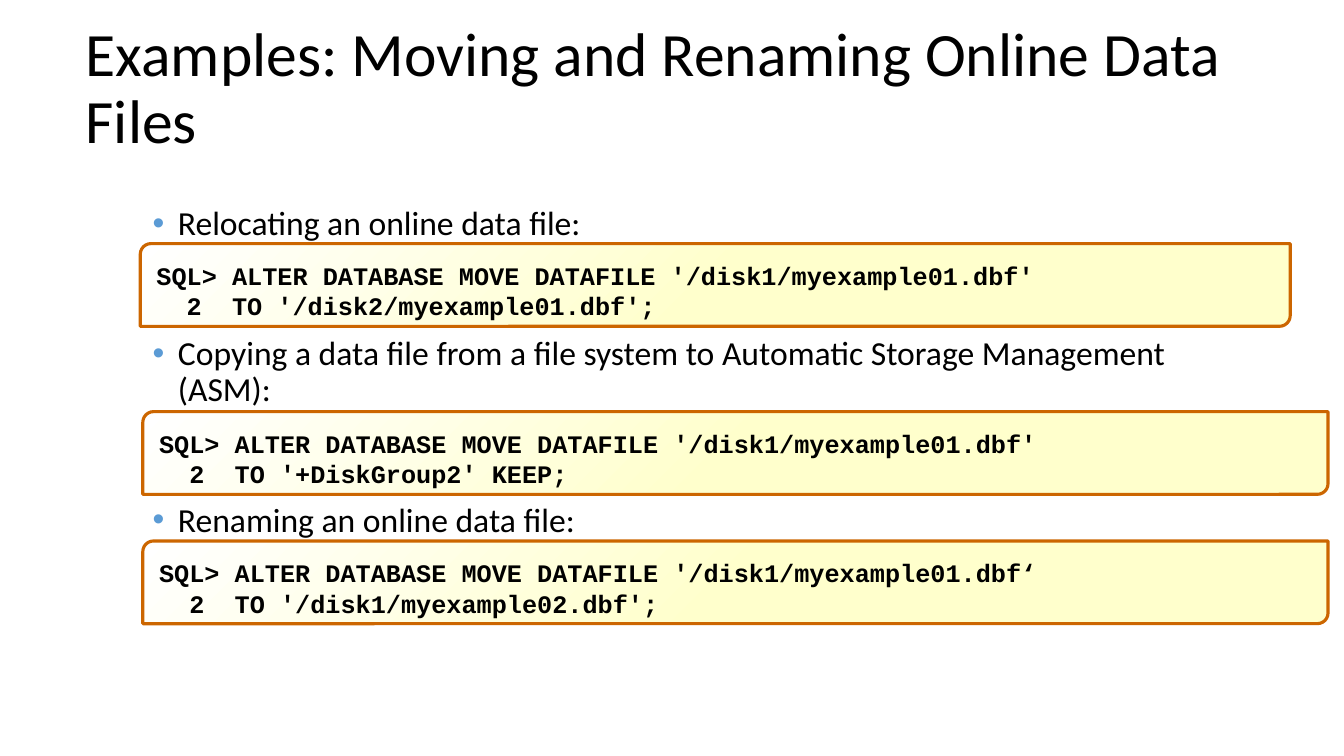
from dataclasses import dataclass

from lxml import etree
from pptx import Presentation
from pptx import util as u
from pptx.dml import color
from pptx.enum import shapes, text
from pptx.oxml import ns

COLS, ROWS = 160, 90
BLACK, ORANGE, CREAM, WHITE, BLUE = "000000", "CC6600", "FFFFCC", "FFFFFF", "5B9BD5"
BODY_FONT = dict(name="Calibri", size=u.Pt(24), bold=False)
TITLE_FONT = dict(name="Calibri", size=u.Pt(44), bold=False)
CODE_FONT = dict(name="Courier New", size=u.Pt(18), bold=True)


@dataclass
class Box:
    col: float
    row: float
    cols: float
    rows: float


@dataclass
class Example:
    caption: str
    space_before: float
    box: Box
    code: tuple[str, str]


MOVE = "SQL> ALTER DATABASE MOVE DATAFILE '/disk1/myexample01.dbf"
EXAMPLES = [
    Example("Relocating an online data file:", 5, Box(16.7, 29, 136.9, 9.85),
            (MOVE + "'", "  2  TO '/disk2/myexample01.dbf';")),
    Example("Copying a data file from a file system to Automatic Storage Management (ASM):",
            67, Box(17, 49, 141.1, 9.85),
            (MOVE + "'", "  2  TO '+DiskGroup2' KEEP;")),
    Example("Renaming an online data file:", 67, Box(17, 64.4, 141.1, 9.85),
            (MOVE + "‘", "  2  TO '/disk1/myexample02.dbf';")),
]

prs = Presentation()
prs.slide_width, prs.slide_height = u.Inches(13.33), u.Inches(7.5)


def rgb(value: str) -> color.RGBColor:
    return color.RGBColor.from_string(value)


def apply(target, values: dict) -> None:
    for name, value in values.items():
        setattr(target, name, value)


def place(box: Box) -> dict:
    w, h = prs.slide_width / COLS, prs.slide_height / ROWS
    return dict(left=int(box.col * w), top=int(box.row * h),
                width=int(box.cols * w), height=int(box.rows * h))


def write(p, content: str, font: dict, **layout) -> None:
    apply(p, dict(alignment=text.PP_ALIGN.LEFT, **layout))
    r = p.add_run()
    r.text = content
    apply(r.font, font)
    r.font.color.rgb = rgb(BLACK)


def hang(p, inches: float, by: float) -> None:
    pPr = p._p.get_or_add_pPr()
    pPr.set("marL", str(u.Inches(inches)))
    pPr.set("indent", str(-u.Inches(by)))


def add_bullet(p) -> None:
    pPr = p._p.get_or_add_pPr()
    clr = etree.SubElement(pPr, ns.qn("a:buClr"))
    etree.SubElement(clr, ns.qn("a:srgbClr"), val=BLUE)
    etree.SubElement(pPr, ns.qn("a:buFont"), typeface="Arial")
    etree.SubElement(pPr, ns.qn("a:buChar"), char="•")


def add_title(s, content: str) -> None:
    sp = s.shapes.title
    apply(sp, place(Box(9, 2, 138, 17.4)))
    tf = sp.text_frame
    apply(tf, dict(word_wrap=True, auto_size=text.MSO_AUTO_SIZE.NONE,
                   vertical_anchor=text.MSO_ANCHOR.MIDDLE))
    write(tf.paragraphs[0], content, TITLE_FONT, line_spacing=0.9)


def add_captions(s, examples: list[Example]) -> None:
    tf = s.shapes.add_textbox(**place(Box(11, 24, 138, 57.1))).text_frame
    tf.word_wrap = True
    for i, example in enumerate(examples):
        p = tf.add_paragraph() if i else tf.paragraphs[0]
        write(p, example.caption, BODY_FONT, line_spacing=0.9,
              space_before=u.Pt(example.space_before))
        hang(p, 0.75, 0.25)
        add_bullet(p)


def add_code(s, example: Example) -> None:
    sp = s.shapes.add_shape(shapes.MSO_SHAPE.ROUND_2_DIAG_RECTANGLE, **place(example.box))
    sp.shadow.inherit = False
    sp.adjustments[0], sp.adjustments[1] = 0.13, 0
    sp.fill.gradient()
    sp.fill.gradient_angle = 135
    for stop, position, value in zip(sp.fill.gradient_stops, (0.5, 1), (CREAM, WHITE)):
        stop.position = position
        stop.color.rgb = rgb(value)
    sp.line.color.rgb = rgb(ORANGE)
    sp.line.width = u.Pt(2.25)
    tf = sp.text_frame
    apply(tf, dict(word_wrap=True, vertical_anchor=text.MSO_ANCHOR.MIDDLE,
                   margin_left=u.Inches(0.13), margin_top=u.Inches(0.13),
                   margin_right=u.Inches(0.02), margin_bottom=u.Inches(0.02)))
    for i, line in enumerate(example.code):
        p = tf.add_paragraph() if i else tf.paragraphs[0]
        write(p, line, CODE_FONT)
        hang(p, 0.67, 0.67)


def main() -> None:
    s = prs.slides.add_slide(prs.slide_layouts[5])
    add_title(s, "Examples: Moving and Renaming Online Data Files")
    add_captions(s, EXAMPLES)
    for example in EXAMPLES:
        add_code(s, example)
    prs.save("out.pptx")


if __name__ == "__main__":
    main()
